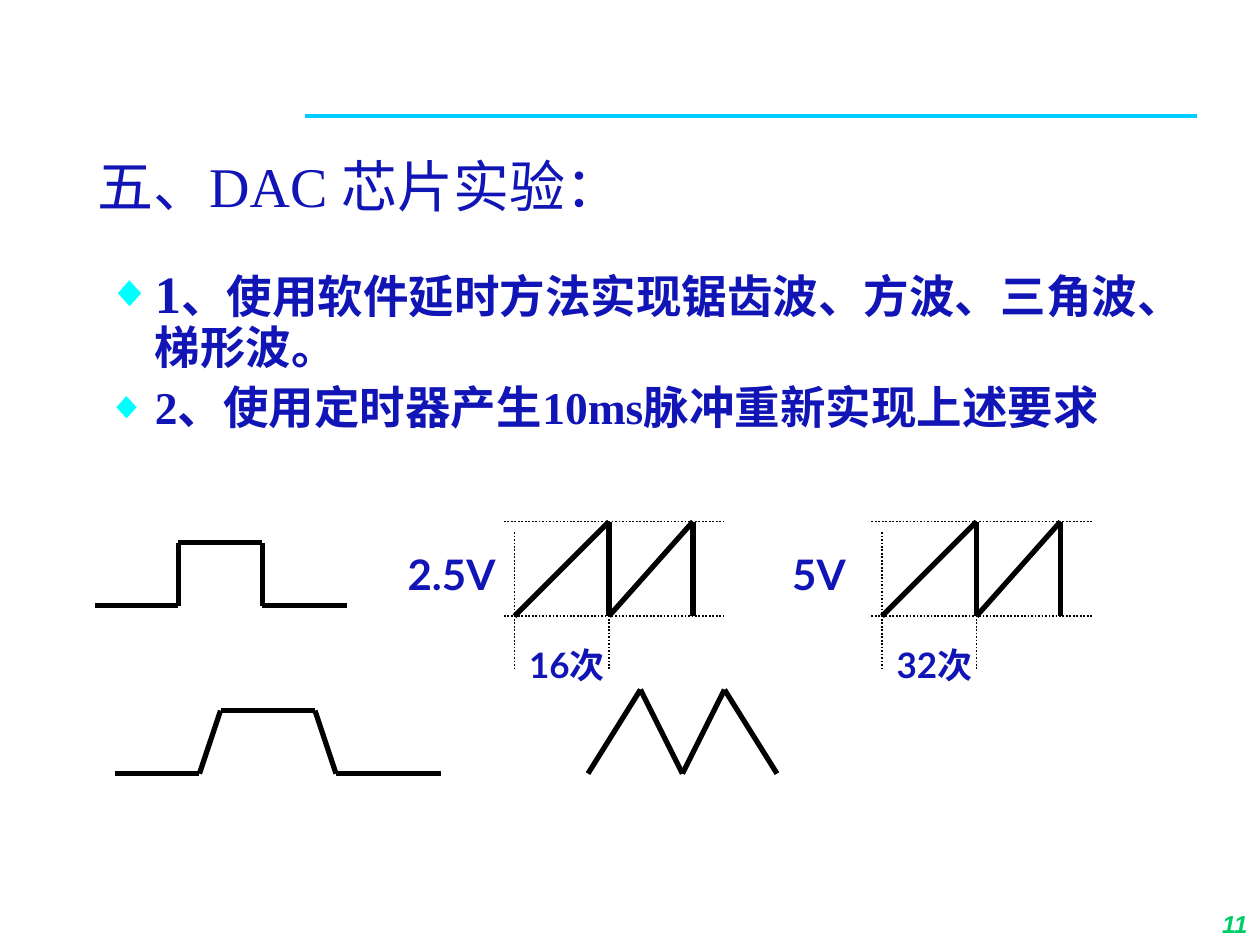
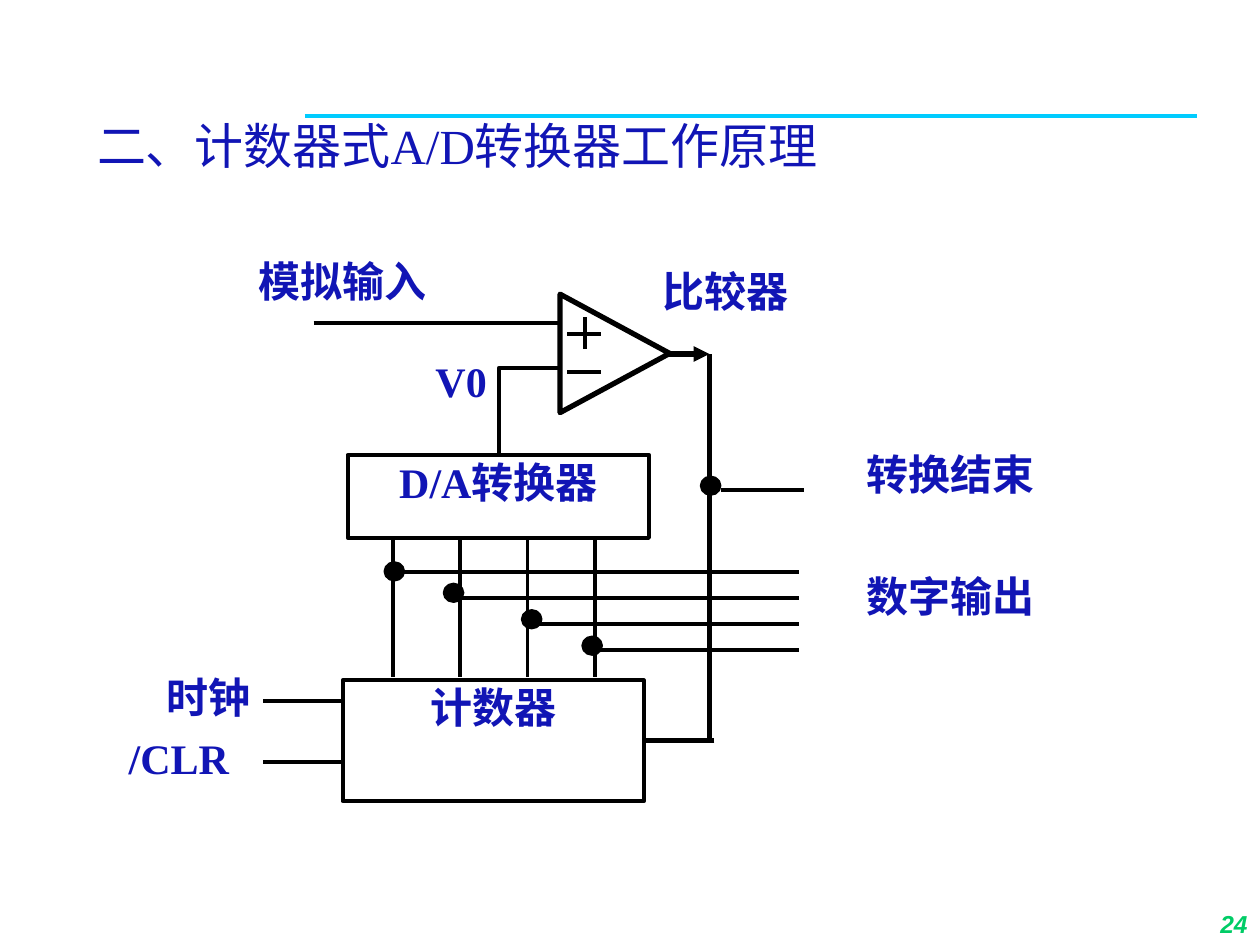
from lxml.etree import SubElement
from pptx import Presentation
from pptx.dml.color import RGBColor
from pptx.enum.dml import MSO_LINE
from pptx.enum.shapes import MSO_CONNECTOR, MSO_SHAPE
from pptx.enum.text import MSO_ANCHOR, MSO_AUTO_SIZE, PP_ALIGN
from pptx.oxml.ns import qn
from pptx.util import Inches, Pt

BLUE = RGBColor(0x11, 0x15, 0xB5)
SKY = RGBColor(0x00, 0xCC, 0xFF)
GREEN = RGBColor(0x00, 0xCC, 0x66)
BLACK = RGBColor(0, 0, 0)
SERIF, SANS, NUMERAL = "Times New Roman", "Lato", "Arial"
SIGNAL, WIRE, GUIDE = 3, 2.25, 1  # line widths in points


def trace(slide, points, width, color=BLACK):
    """Join the points (inches) with straight lines; return the lines."""
    lines = []
    for start, end in zip(points, points[1:]):
        line = slide.shapes.add_connector(
            MSO_CONNECTOR.STRAIGHT, *map(Inches, start + end))
        line.line.color.rgb = color
        line.line.width = Pt(width)
        SubElement(line.element.spPr, qn("a:effectLst"))
        lines.append(line)
    return lines


def write(shape, text, size, font=SERIF, align=PP_ALIGN.CENTER, bold=True,
          color=BLUE, anchor=MSO_ANCHOR.TOP, inset=(0.1, 0.05)):
    """Fill a shape with one formatted paragraph and return it."""
    frame = shape.text_frame
    frame.word_wrap = True
    frame.auto_size = MSO_AUTO_SIZE.NONE
    frame.vertical_anchor = anchor
    frame.margin_left = frame.margin_right = Inches(inset[0])
    frame.margin_top = frame.margin_bottom = Inches(inset[1])
    paragraph = frame.paragraphs[0]
    paragraph.text = text
    paragraph.alignment = align
    paragraph.font.size = Pt(size)
    paragraph.font.name = font
    paragraph.font.bold = bold
    paragraph.font.color.rgb = color
    return paragraph


prs = Presentation()
prs.slide_width, prs.slide_height = Inches(10), Inches(7.5)
waves = prs.slides.add_slide(prs.slide_layouts[1])
converter = prs.slides.add_slide(prs.slide_layouts[5])

# Rule under the header, shared through the master
header_rule, = trace(waves, [(2.42, 0.92), (9.5, 0.92)], 2, SKY)
header_rule.element.nvCxnSpPr.cNvPr.set("id", "20")
prs.slide_master.shapes.element.append(header_rule.element)

# Titles and page numbers
for slide, heading, size, anchor, page in (
        (waves, "五、DAC 芯片实验：", 32, MSO_ANCHOR.MIDDLE, "11"),
        (converter, "二、计数器式A/D转换器工作原理", 28, MSO_ANCHOR.TOP, "24")):
    title = slide.shapes.title
    title.left, title.top, title.width, title.height = map(
        Inches, (0.67, 0.92, 8.25, 1.16))
    write(title, heading, size, align=PP_ALIGN.LEFT, bold=False,
          anchor=anchor).line_spacing = 0.9
    number = slide.shapes.add_textbox(*map(Inches, (7.92, 7, 2.08, 0.5)))
    write(number, page, 14, NUMERAL, PP_ALIGN.RIGHT, color=GREEN,
          anchor=MSO_ANCHOR.BOTTOM).font.italic = True

# Slide 1: tasks
tasks = waves.placeholders[1]
tasks.left, tasks.top, tasks.width, tasks.height = map(
    Inches, (0.75, 2.08, 8.58, 4.5))
tasks.text_frame.auto_size = MSO_AUTO_SIZE.NONE
tasks.text_frame.vertical_anchor = MSO_ANCHOR.TOP
for i, parts in enumerate((
        [("1", 30), ("、使用软件延时方法实现锯齿波、方波、三角波、梯形波。", 26)],
        [("2、使用定时器产生10ms脉冲重新实现上述要求", 26)])):
    task = (tasks.text_frame.add_paragraph() if i
            else tasks.text_frame.paragraphs[0])
    task.line_spacing = 0.9
    task.space_before = Pt(6.5 if i else 0)
    properties = task._p.get_or_add_pPr()
    properties.set("marL", str(Inches(0.38)))
    properties.set("indent", str(-Inches(0.38)))
    bullet_color = SubElement(properties, qn("a:buClr"))
    SubElement(bullet_color, qn("a:srgbClr"), val="00FFFF")
    SubElement(properties, qn("a:buSzPct"), val="85000")
    SubElement(properties, qn("a:buFont"), typeface=SERIF)
    SubElement(properties, qn("a:buChar"), char="◆")
    task.font.name = SERIF
    task.font.bold = True
    task.font.color.rgb = BLUE
    for text, size in parts:
        run = task.add_run()
        run.text = text
        run.font.size = Pt(size)

# Slide 1: waveforms on a grid of twelfths of an inch
CELL, WAVE_TOP, SAWTOOTH_STEP = 1 / 12, 4.14, 35
square = [(9, 8), (17, 8), (17, 2), (25, 2), (25, 8), (33, 8)]
trapezoid = [(11, 24), (19, 24), (21, 18), (30, 18), (32, 24), (42, 24)]
triangle = [(56, 24), (61, 16), (65, 24), (69, 16), (74, 24)]
sawtooth = [(49, 9), (58, 0), (58, 9), (66, 0), (66, 9)]
guides = [[(48, 0), (69, 0)], [(48, 9), (69, 9)],
          [(49, 1), (49, 14)], [(58, 0), (58, 14)]]

curves = [(wave, 0, SIGNAL) for wave in (square, trapezoid, triangle)]
for shift in (0, SAWTOOTH_STEP):
    curves.append((sawtooth, shift, SIGNAL))
    curves += [(guide, shift, GUIDE) for guide in guides]
for cells, shift, width in curves:
    points = [((x + shift) * CELL, WAVE_TOP + y * CELL) for x, y in cells]
    for line in trace(waves, points, width):
        if width == GUIDE:
            line.line.dash_style = MSO_LINE.ROUND_DOT

for text, column, row, size in (
        ("2.5V", 37, 2, 24), ("16次", 48, 11, 20),
        ("5V", 37 + SAWTOOTH_STEP, 2, 24),
        ("32次", 48 + SAWTOOTH_STEP, 11, 20)):
    label = waves.shapes.add_textbox(
        Inches(column * CELL), Inches(WAVE_TOP + row * CELL),
        Inches(1), Inches(0.5))
    write(label, text, size, SANS)

# Slide 2: labels
TIGHT = (0.01, 0.01)
for text, *place in (
        ("时钟", 0.9, 5.32, 1.51, 0.47), ("/CLR", 0.83, 5.8, 1.18, 0.47),
        ("模拟输入", 1.65, 2.02, 2.13, 0.6), ("比较器", 4.69, 2.1, 2.13, 0.6),
        ("转换结束", 6.48, 3.55, 2.13, 0.6), ("数字输出", 6.48, 4.52, 2.13, 0.6),
        ("V0", 3.19, 2.81, 0.94, 0.39)):
    label = converter.shapes.add_textbox(*map(Inches, place))
    write(label, text, 24, inset=TIGHT)

# Slide 2: counter, D/A converter and comparator
blocks = []
for kind, text, width, *place in (
        (MSO_SHAPE.RECTANGLE, "计数器", WIRE, 2.72, 5.4, 2.39, 0.96),
        (MSO_SHAPE.RECTANGLE, "D/A转换器", WIRE, 2.76, 3.61, 2.39, 0.66),
        (MSO_SHAPE.ISOSCELES_TRIANGLE, "", SIGNAL, 4.41, 2.37, 0.94, 0.87)):
    block = converter.shapes.add_shape(kind, *map(Inches, place))
    block.shadow.inherit = False
    block.fill.background()
    block.line.color.rgb = BLACK
    block.line.width = Pt(width)
    if text:
        write(block, text, 24, inset=TIGHT)
    blocks.append(block)
counter, dac, comparator = blocks
comparator.rotation = 90

# Slide 2: inputs, plus and minus signs, end-of-conversion output
for start, end in (
        ((2.49, 2.56), (4.45, 2.56)),
        ((2.09, 5.56), (2.72, 5.56)), ((2.09, 6.05), (2.72, 6.05)),
        ((4.5, 2.65), (4.77, 2.65)), ((4.64, 2.52), (4.64, 2.77)),
        ((4.5, 2.95), (4.77, 2.95)),
        ((5.72, 3.89), (6.38, 3.89))):
    trace(converter, [start, end], WIRE)

# Slide 2: V0 feedback to the comparator
outline = converter.shapes.build_freeform(
    Inches(3.96), Inches(3.6), scale=1.0)
outline.add_line_segments(
    [(Inches(3.96), Inches(2.92)), (Inches(4.44), Inches(2.92))], close=False)
feedback = outline.convert_to_shape()
feedback.shadow.inherit = False
feedback.fill.background()
feedback.line.color.rgb = BLACK
feedback.line.width = Pt(WIRE)

# Slide 2: comparator output back to the counter
output, = trace(converter, [(5.31, 2.81), (5.63, 2.81)], SIGNAL)
SubElement(output.line._get_or_add_ln(), qn("a:tailEnd"), type="triangle")
trace(converter, [(5.63, 2.81), (5.63, 5.88)], SIGNAL)
stop, = trace(converter, [(5.67, 5.88), (5.11, 5.88)], SIGNAL)
stop.end_connect(counter, 3)

# Slide 2: four data bits, each tapped to the digital output
taps = [(3.06, 4.47), (3.53, 4.64), (4.15, 4.85), (4.63, 5.06)]
for bit in range(len(taps)):
    x, y = 3.12 + bit * 1.6 / 3, 4.54 + bit * 0.62 / 3
    trace(converter, [(x, 4.28), (x, 5.37)], WIRE)
    trace(converter, [(x, y), (6.34, y)], WIRE)
for left, top in taps + [(5.57, 3.79)]:
    node = converter.shapes.add_shape(
        MSO_SHAPE.OVAL, *map(Inches, (left, top, 0.14, 0.13)))
    node.shadow.inherit = False
    node.fill.solid()
    node.fill.fore_color.rgb = BLACK
    node.line.color.rgb = BLACK
    node.line.width = Pt(WIRE)

prs.save("out.pptx")
